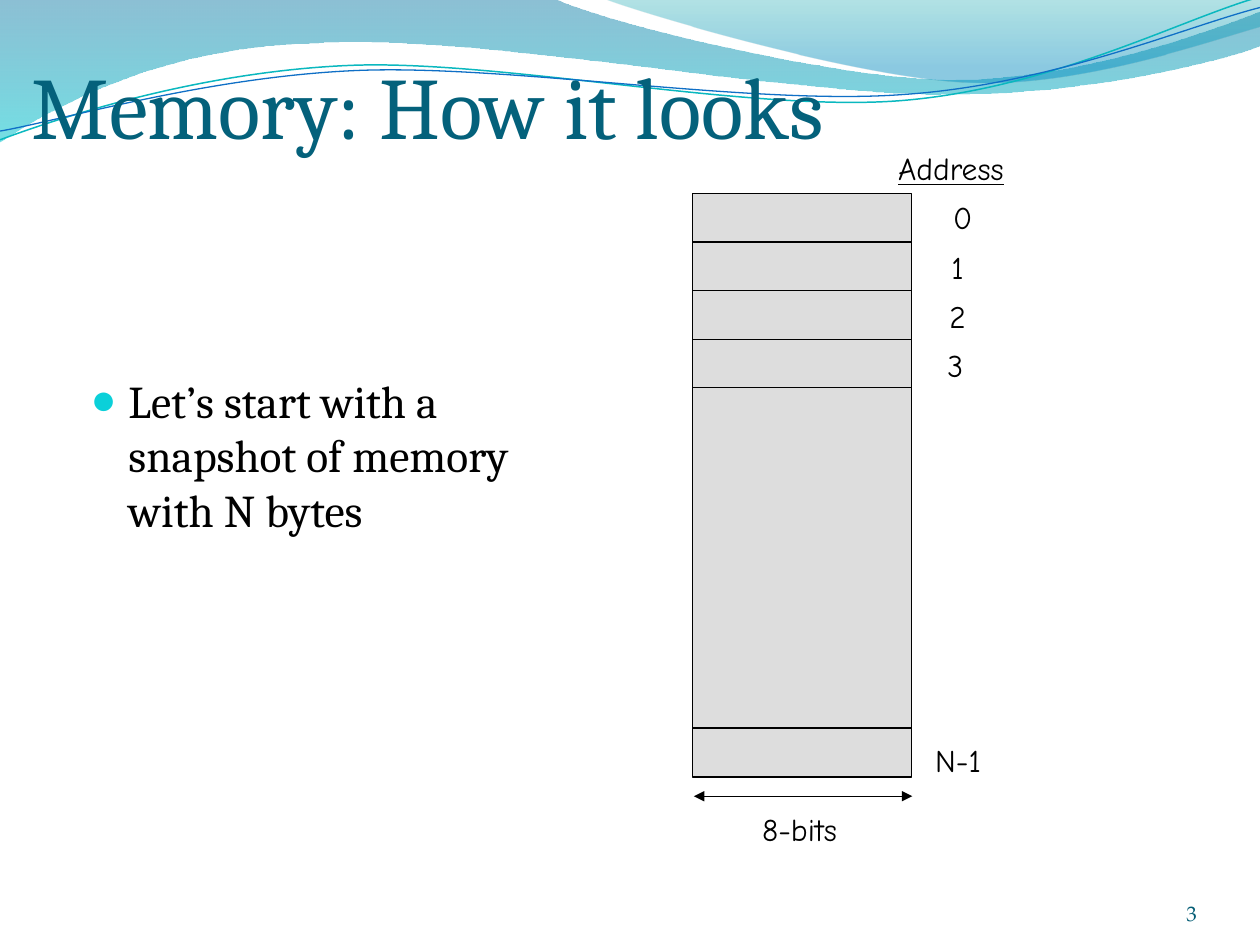
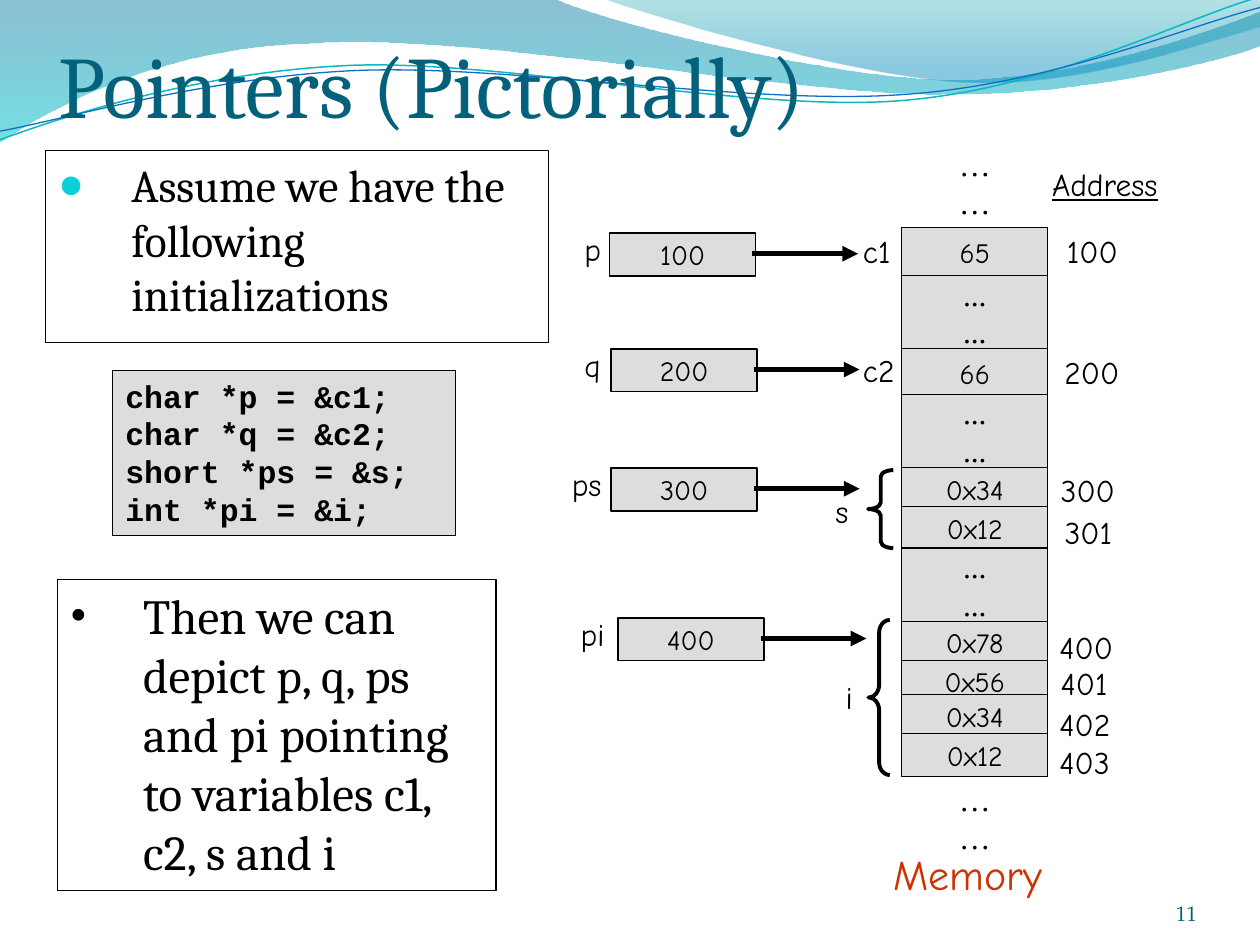
"""Build two slides on memory layout and pointers."""
import math
from typing import NamedTuple

from lxml import etree
from pptx import Presentation
from pptx.dml.color import RGBColor
from pptx.enum import shapes, text
from pptx.oxml.ns import qn
from pptx.util import Pt

BLACK, GREY, TEAL, PAGE, RED, CYAN = "000000", "DDDDDD", "04617B", "045D75", "CC3300", "0BD0D9"
SERIF, HAND, TIMES, MONO, FOOT = (
    "Cambria", "Comic Neue", "Times New Roman", "Courier New", "TeX Gyre Pagella")
LEFT, MID, RIGHT = text.PP_ALIGN.LEFT, text.PP_ALIGN.CENTER, text.PP_ALIGN.RIGHT
TOP, CENTER, LOW = text.MSO_ANCHOR.TOP, text.MSO_ANCHOR.MIDDLE, text.MSO_ANCHOR.BOTTOM
TILT = 357.3
GAP = "...\n..."
OPEN = "…\n…"


class Box(NamedTuple):
    x: float
    y: float
    w: float
    h: float


class Ink(NamedTuple):
    font: str = HAND
    size: float = 18
    color: str = BLACK
    align: int = LEFT
    bold: bool = False
    under: bool = False


class Tag(NamedTuple):
    words: str
    x: float
    y: float
    w: float
    ink: Ink = Ink()
    h: float = 28.8


class Cell(NamedTuple):
    y: float
    h: float
    words: str = ""


class Link(NamedTuple):
    name: str
    value: str
    x: float
    y: float
    left: float
    w: float


class Brace(NamedTuple):
    box: Box
    bend: float


class Wave(NamedTuple):
    start: tuple
    legs: list
    stops: tuple = ()
    color: str = ""
    width: float = 0
    hub: tuple = ()


HEAD = Ink(SERIF, 50, TEAL)
BODY = Ink(SERIF, 26)
UNDER = Ink(align=MID, under=True)
BYTE = Ink(HAND, 16, align=MID)
DOTS = Ink(TIMES, 18, align=MID)

WAVES = [
    Wave((0, 0), [(316.8, -0.7), (342.7, 12.2, 478.1, 45.4, 545.8, 45.4),
                  (614.2, 45.4, 689.8, 18.7, 720, 6.5), (720.7, 25.9),
                  (707.8, 31.7, 626.4, 54.7, 537.1, 54), (447.8, 54, 275, 20.2, 185, 24.5),
                  (92.9, 25.9, 33.1, 59.8, -0.7, 81.4), (0, 0)],
         ((0, "0074A1", 45), (1, "00C6CF", 55))),
    Wave((344.9, -0.7), [(366.5, 7.9, 491, 44.6, 553.7, 46.8),
                         (616.3, 49.7, 691.9, 23, 720, 15.1), (720, 0), (344.9, -0.7)],
         ((0, "00A1A9", 30), (0.8, "008BBF", 45))),
    Wave((0, 79.9), [(34.6, 67, 113.8, 41, 199.4, 37.4), (284.4, 33.8, 427, 64.1, 513.4, 57.6),
                     (599.8, 51.1, 675.4, 10.8, 718.6, -1.4)],
         color="0AB8BF", width=0.85, hub=(359.3, 41.4)),
    Wave((0, 74.9), [(33.8, 69.1, 118.1, 43.9, 203.8, 40.3), (290.2, 36.7, 429.8, 60.5, 516.2, 54),
                     (601.9, 48.2, 677.5, 15.1, 720, 4.3)],
         color="0F6FC6", width=0.75, hub=(359.6, 42.5)),
]


def rgb(code: str) -> RGBColor:
    return RGBColor.from_string(code)


def pts(box: Box) -> list:
    return [Pt(n) for n in box]


def place(shape, box: Box) -> None:
    shape.left, shape.top, shape.width, shape.height = pts(box)


def write(shape, words: str, ink: Ink, anchor=TOP, wrap: bool = True) -> None:
    frame = shape.text_frame
    frame.text = words
    frame.word_wrap = wrap
    frame.auto_size = text.MSO_AUTO_SIZE.NONE
    frame.vertical_anchor = anchor
    for par in frame.paragraphs:
        par.alignment = ink.align
        for run in par.runs:
            font = run.font
            font.name, font.size, font.bold = ink.font, Pt(ink.size), ink.bold
            font.underline = ink.under
            font.color.rgb = rgb(ink.color)


def pad(shape, left: float = 0, top: float = 0) -> None:
    frame = shape.text_frame
    frame.margin_left, frame.margin_top = Pt(left), Pt(top)
    frame.margin_right = frame.margin_bottom = Pt(0)


def edge(shape, color: str = BLACK, width: float = 0.75) -> None:
    shape.line.color.rgb = rgb(color)
    shape.line.width = Pt(width)


def hang(par, depth: float) -> None:
    props = par._p.get_or_add_pPr()
    props.set("marL", str(Pt(depth)))
    props.set("indent", str(-Pt(depth)))


def bullet(shape, depth: float, mark: str, color: str, scale: int, size: float) -> None:
    par = shape.text_frame.paragraphs[0]
    hang(par, depth)
    par.space_before = Pt(size * 0.2)
    props = par._p.get_or_add_pPr()
    tint = etree.SubElement(props, qn("a:buClr"))
    etree.SubElement(tint, qn("a:srgbClr")).set("val", color)
    etree.SubElement(props, qn("a:buSzPct")).set("val", str(scale * 1000))
    etree.SubElement(props, qn("a:buFont")).set("typeface", TIMES)
    etree.SubElement(props, qn("a:buChar")).set("char", mark)


def spin(spot: tuple, hub: tuple) -> tuple:
    if not hub:
        return Pt(spot[0]), Pt(spot[1])
    turn = math.radians(360 - TILT)
    x, y = spot[0] - hub[0], spot[1] - hub[1]
    return (Pt(hub[0] + x * math.cos(turn) - y * math.sin(turn)),
            Pt(hub[1] + x * math.sin(turn) + y * math.cos(turn)))


def trace(slide, wave: Wave):
    legs = [[spin(leg[n:n + 2], wave.hub) for n in range(0, len(leg), 2)] for leg in wave.legs]
    pen = slide.shapes.build_freeform(*spin(wave.start, wave.hub))
    pen.add_line_segments([leg[-1] for leg in legs], close=bool(wave.stops))
    shape = pen.convert_to_shape()
    for node, leg in zip(list(shape.element.iter(qn("a:lnTo"))), legs):
        if len(leg) == 1:
            continue
        curve = etree.Element(qn("a:cubicBezTo"))
        for x, y in leg:
            spot = etree.SubElement(curve, qn("a:pt"))
            spot.set("x", str(x - shape.left))
            spot.set("y", str(y - shape.top))
        node.getparent().replace(node, curve)
    return shape


def add_wave(slide, wave: Wave) -> None:
    shape = trace(slide, wave)
    shape.shadow.inherit = False
    slide.shapes.title.element.addprevious(shape.element)
    if not wave.stops:
        shape.rotation = TILT
        shape.fill.background()
        edge(shape, wave.color, wave.width)
        return
    shape.line.fill.background()
    shape.fill.gradient()
    shape.fill.gradient_angle = 270
    for stop, (spot, color, _) in zip(shape.fill.gradient_stops, wave.stops):
        stop.position = spot
        stop.color.rgb = rgb(color)
    tints = shape.element.spPr.iter(qn("a:srgbClr"))
    for tint, (_, _, alpha) in zip(list(tints), wave.stops):
        etree.SubElement(tint, qn("a:alpha")).set("val", str(alpha * 1000))


def add_tag(slide, tag: Tag) -> None:
    shape = slide.shapes.add_textbox(*pts(Box(tag.x, tag.y, tag.w, tag.h)))
    write(shape, tag.words, tag.ink, wrap=False)
    shape.text_frame.auto_size = text.MSO_AUTO_SIZE.SHAPE_TO_FIT_TEXT


def add_rect(slide, box: Box, fill: str = GREY):
    shape = slide.shapes.add_shape(shapes.MSO_SHAPE.RECTANGLE, *pts(box))
    shape.shadow.inherit = False
    edge(shape)
    if fill:
        shape.fill.solid()
        shape.fill.fore_color.rgb = rgb(fill)
    else:
        shape.fill.background()
    return shape


def add_cell(slide, x: float, w: float, cell: Cell) -> None:
    shape = add_rect(slide, Box(x, cell.y, w, cell.h))
    if cell.words:
        write(shape, cell.words, DOTS if cell.words == GAP else BYTE, CENTER, False)


def add_arrow(slide, x: float, y: float, end: float, width: float, tips: tuple) -> None:
    line = slide.shapes.add_connector(
        shapes.MSO_CONNECTOR.STRAIGHT, Pt(x), Pt(y), Pt(end), Pt(y))
    edge(line, BLACK, width)
    pen = line.element.spPr.find(qn("a:ln"))
    for tip in tips:
        etree.SubElement(pen, qn(f"a:{tip}")).set("type", "triangle")
    etree.SubElement(line.element.spPr, qn("a:effectLst"))


def add_brace(slide, brace: Brace) -> None:
    shape = slide.shapes.add_shape(shapes.MSO_SHAPE.LEFT_BRACE, *pts(brace.box))
    shape.shadow.inherit = False
    shape.fill.background()
    shape.adjustments[0] = brace.bend
    edge(shape, BLACK, 2.25)


def add_link(slide, link: Link) -> None:
    add_cell(slide, link.x, 83.5, Cell(link.y, 24.5, link.value))
    add_tag(slide, Tag(link.name, link.left, link.y - 5.2, link.w))
    end = link.x + 142
    add_arrow(slide, end - 60.5, link.y + 11.8, end, 3, ("tailEnd",))


def add_slide(deck, title: str, head: Box, inset: float, words: str, body: Box,
              depth: float, page: str):
    slide = deck.slides.add_slide(deck.slide_layouts[1])
    for wave in WAVES:
        add_wave(slide, wave)
    place(slide.shapes.title, head)
    write(slide.shapes.title, title, HEAD, LOW)
    pad(slide.shapes.title, inset, 3.6)
    main = slide.placeholders[1]
    place(main, body)
    write(main, words, BODY)
    bullet(main, depth, "●", CYAN, 95, BODY.size)
    foot = slide.shapes.add_textbox(*pts(Box(624.2, 500.4, 59.8, 28.8)))
    write(foot, page, Ink(FOOT, 12, PAGE, RIGHT), LOW)
    pad(foot)
    return slide


def add_memory(deck) -> None:
    slide = add_slide(deck, "Memory: How it looks", Box(18, 0, 648, 90), 0,
                      "Let’s start with a snapshot of memory with N bytes",
                      Box(44.6, 209.3, 277.2, 212.4), 21.6, "3")
    cells = [Cell(110.5 + 27.8 * row, 28) for row in range(4)]
    for cell in cells + [Cell(221.3, 195.8), Cell(416.1, 28)]:
        add_cell(slide, 395.6, 125.3, cell)
    tags = [Tag(str(row), 537.6 - 1.1 * row, 109.8 + 28.2 * row, 25) for row in range(4)]
    tags += [Tag("N-1", 527.3, 419.8, 44.6), Tag("8-bits", 428.4, 459.4, 65.5),
             Tag("Address", 500.9, 81.8, 85, UNDER)]
    for tag in tags:
        add_tag(slide, tag)
    add_arrow(slide, 396.5, 455, 521.3, 0.75, ("headEnd", "tailEnd"))


def add_pointers(deck) -> None:
    slide = add_slide(deck, "Pointers (Pictorially)", Box(22.2, 10.8, 676, 67), 11,
                      "Assume we have the following initializations",
                      Box(26, 86.1, 287.3, 109.5), 41.8, "11")
    edge(slide.placeholders[1])
    for cell in [Cell(130.1, 28, "65"), Cell(157.6, 41.8, GAP), Cell(199.3, 28, "66"),
                 Cell(225.4, 41.8, GAP), Cell(267.1, 24.5, "0x34"), Cell(289.4, 24.5, "0x12"),
                 Cell(313.2, 41.8, GAP), Cell(355, 24.5, "0x78"), Cell(377.3, 24.5, "0x56"),
                 Cell(396.9, 24.5, "0x34"), Cell(419.2, 24.5, "0x12")]:
        add_cell(slide, 515.3, 83.5, cell)
    for y in (80.6, 443.5):
        shape = slide.shapes.add_textbox(*pts(Box(515.3, y, 83.5, 47.5)))
        write(shape, OPEN, DOTS, CENTER, False)
    for tag in [Tag("100", 602.6, 128.9, 44.6), Tag("200", 601.2, 198, 47.5),
                Tag("300", 599, 265.9, 47.5), Tag("301", 601.2, 289.4, 44.6),
                Tag("400", 598.3, 355.4, 47.5), Tag("401", 599, 375.8, 44.6),
                Tag("402", 598.3, 399.6, 47.5), Tag("403", 598.3, 421.2, 47.5),
                Tag("c1", 486, 128.9, 31.7), Tag("c2", 486, 196.8, 34.6),
                Tag("s", 470.2, 277.9, 23), Tag("i", 476.1, 383.8, 19.4),
                Tag("Address", 588.8, 90.7, 85, UNDER),
                Tag("Memory", 503.3, 481.5, 104.4, Ink(HAND, 24, RED), 36)]:
        add_tag(slide, tag)
    for brace in [Brace(Box(496.1, 268.6, 14.4, 44.6), 0.26),
                  Brace(Box(496.3, 354.3, 12.2, 88.6), 0.59)]:
        add_brace(slide, brace)
    for link in [Link("p", "100", 348.4, 133.2, 326.9, 24.5),
                 Link("q", "200", 349.2, 199.4, 326.9, 23.8),
                 Link("ps", "300", 349.2, 267.5, 319.7, 33),
                 Link("pi", "400", 353.1, 353.1, 324.7, 28.8)]:
        add_link(slide, link)
    code = add_rect(slide, Box(64.5, 211.7, 195.8, 94.3))
    write(code, "char *p = &c1;\nchar *q = &c2;\nshort *ps = &s;\nint *pi = &i;",
          Ink(MONO, bold=True))
    for par in code.text_frame.paragraphs:
        hang(par, 27.4)
    note = add_rect(slide, Box(32.9, 331.2, 250.6, 177.8), "")
    write(note, "Then we can depict p, q, ps and pi pointing to variables c1, c2, s and i",
          Ink(SERIF, 28))
    bullet(note, 41.8, "•", BLACK, 100, 28)


def main() -> None:
    deck = Presentation()
    deck.slide_width, deck.slide_height = Pt(720), Pt(540)
    add_memory(deck)
    add_pointers(deck)
    deck.save("out.pptx")


if __name__ == "__main__":
    main()
